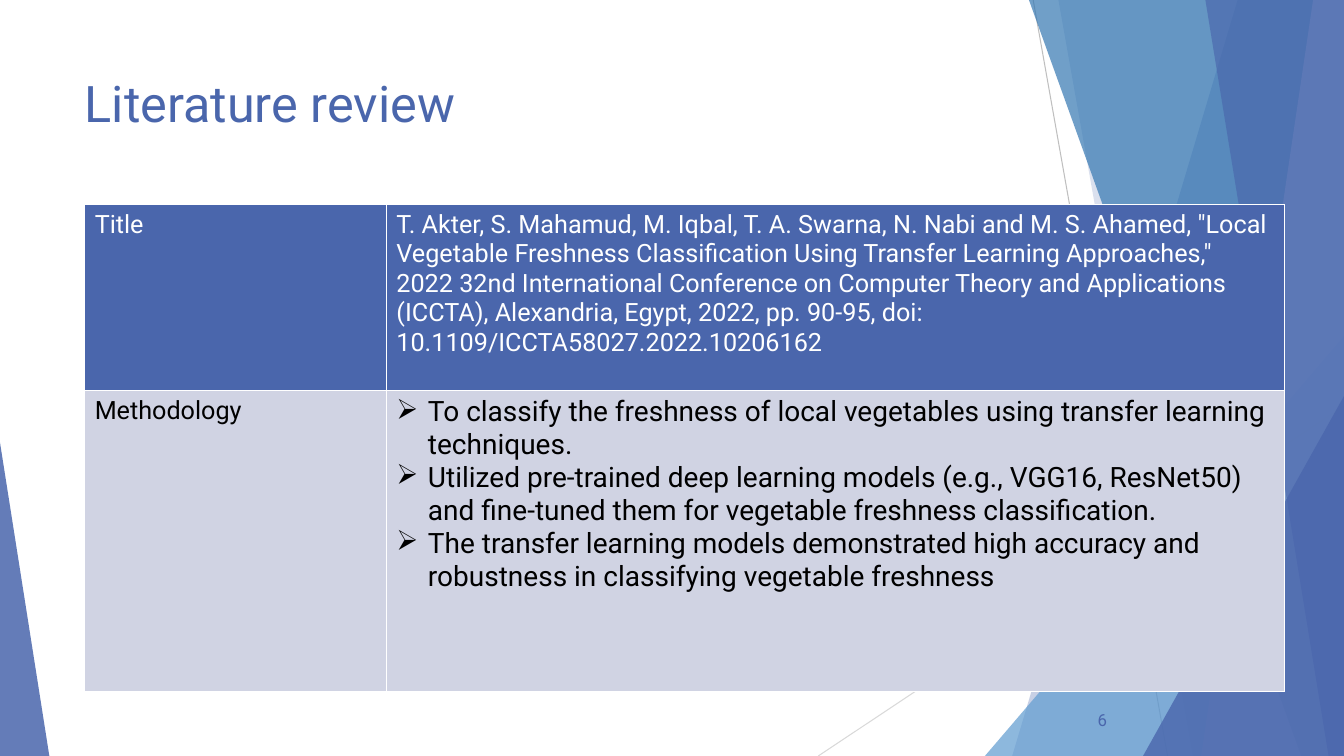
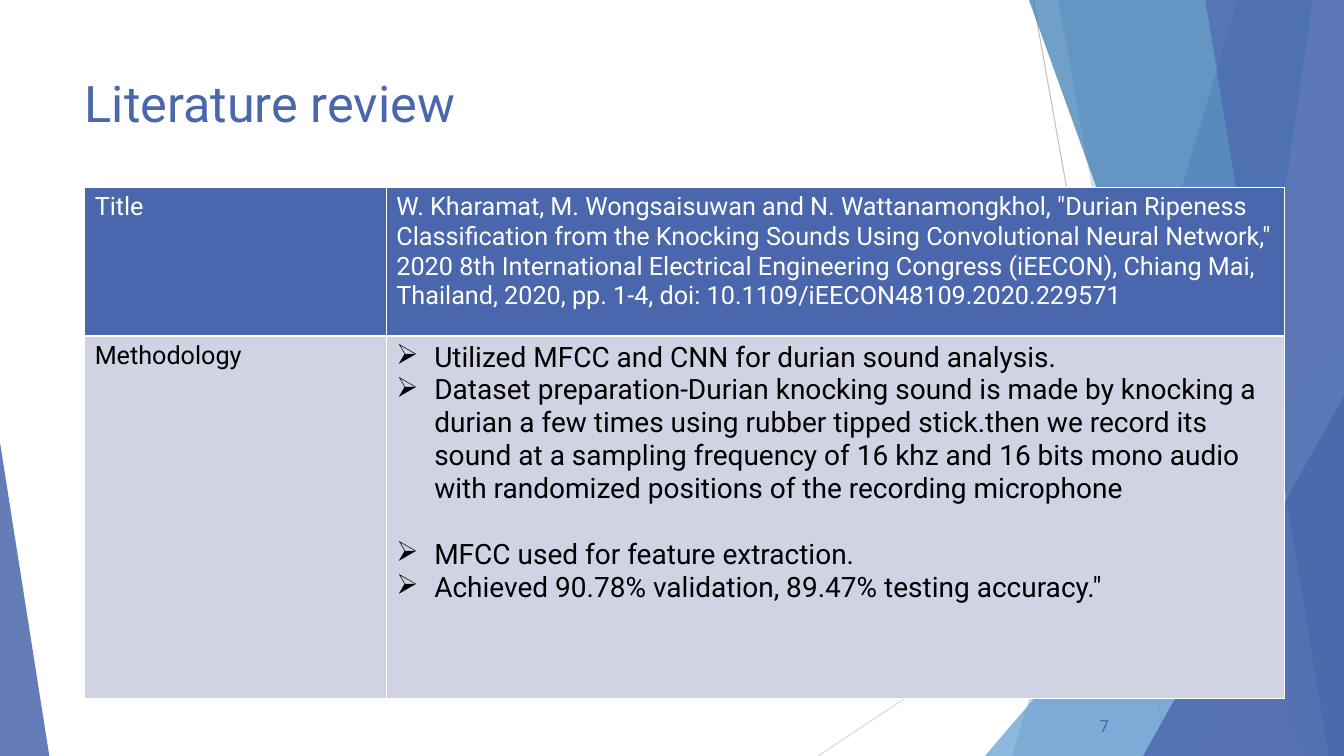
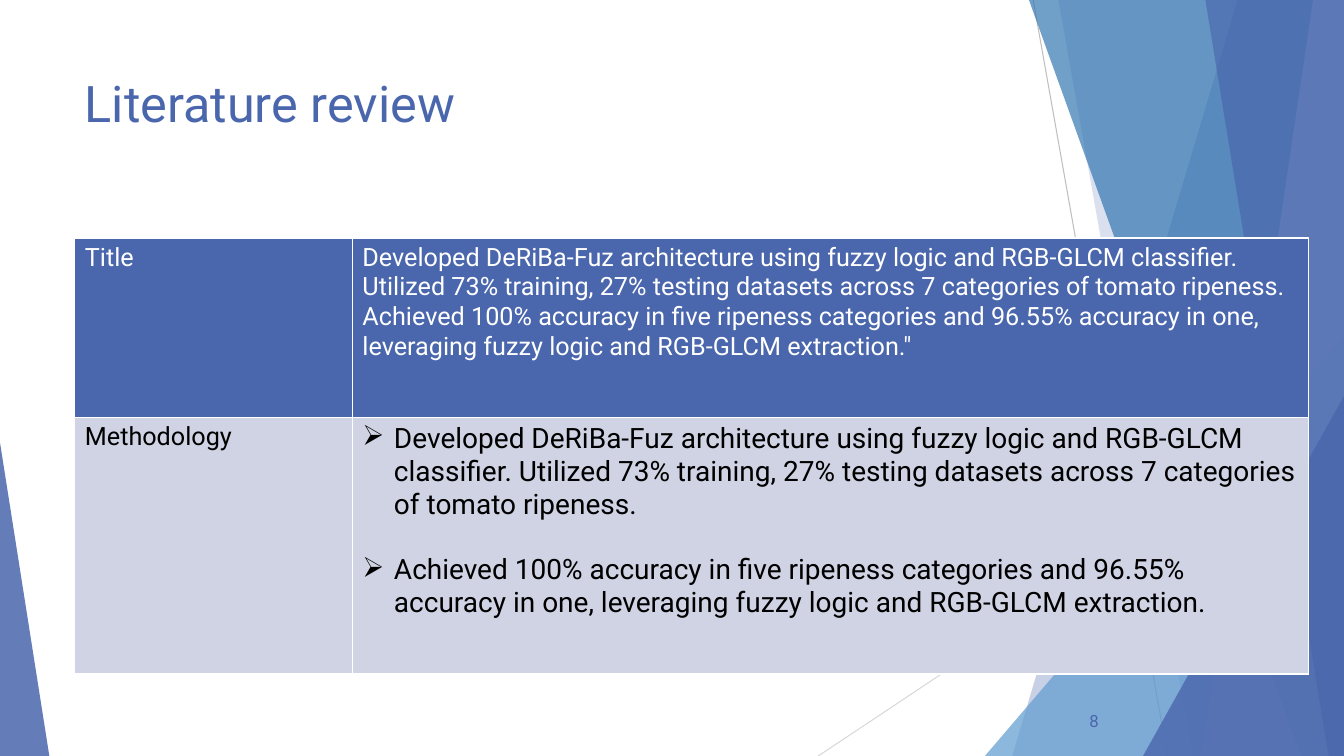
from pptx import Presentation
from pptx.dml.color import RGBColor
from pptx.enum import shapes as kinds, text as txt
from pptx.oxml import ns, xmlchemy as xml
from pptx.oxml import parse_xml
from pptx.util import Pt

WIDE, HIGH = 960, 540
BLUE = RGBColor(0x4A, 0x66, 0xAC)
SKY = RGBColor(0x62, 0x9D, 0xD1)
DEEP = RGBColor(0x34, 0x77, 0xB2)
PALE = RGBColor(0x90, 0xA2, 0xCF)
TINT = RGBColor(0xD0, 0xD3, 0xE3)
GREY = RGBColor(0xBF, 0xBF, 0xBF)
LIGHT = RGBColor(0xD9, 0xD9, 0xD9)
WHITE = RGBColor(255, 255, 255)
BLACK = RGBColor(0, 0, 0)

HEAD = {"size": Pt(36), "color": BLUE}
LABEL = {"size": Pt(18), "color": BLACK}
CITE = {"size": Pt(18), "color": WHITE}
POINT = {"size": Pt(20), "color": BLACK}
FOOT = {"size": Pt(12), "color": BLUE}
GAP = 23.5

# Each slide: number and its place, table place, column widths, row heights,
# title cell, bullet indent, bullets as (space before, text)
PAGES = [
    dict(num="6", spot=(743.75, 499.75), at=(60.5, 146.25),
         cols=(215.5, 641.5), rows=(133, 215), hang=22.5,
         cite='T. Akter, S. Mahamud, M. Iqbal, T. A. Swarna, N. Nabi and M. S. Ahamed, "Local Vegetable Freshness Classification Using Transfer Learning Approaches," 2022 32nd International Conference on Computer Theory and Applications (ICCTA), Alexandria, Egypt, 2022, pp. 90-95, doi: 10.1109/ICCTA58027.2022.10206162',
         points=[
             (0, "To classify the freshness of local vegetables using transfer learning techniques."),
             (0, "Utilized pre-trained deep learning models (e.g., VGG16, ResNet50) and fine-tuned them for vegetable freshness classification."),
             (0, "The transfer learning models demonstrated high accuracy and robustness in classifying vegetable freshness"),
         ]),
    dict(num="7", spot=(745.25, 504), at=(60.5, 134),
         cols=(215.5, 641.5), rows=(106, 259), hang=27,
         cite='W. Kharamat, M. Wongsaisuwan and N. Wattanamongkhol, "Durian Ripeness Classification from the Knocking Sounds Using Convolutional Neural Network," 2020 8th International Electrical Engineering Congress (iEECON), Chiang Mai, Thailand, 2020, pp. 1-4, doi: 10.1109/iEECON48109.2020.229571',
         points=[
             (0, "Utilized MFCC and CNN for durian sound analysis."),
             (0, "Dataset preparation-Durian knocking sound is made by knocking a durian a few times using rubber tipped stick.then we record its sound at a sampling frequency of 16 khz and 16 bits mono audio with randomized positions of the recording microphone"),
             (GAP, "MFCC used for feature extraction."),
             (0, 'Achieved 90.78% validation, 89.47% testing accuracy."'),
         ]),
    dict(num="8", spot=(738, 500.25), at=(53.5, 170),
         cols=(198.25, 682.75), rows=(128, 183.5), hang=22.5,
         cite='Developed DeRiBa-Fuz architecture using fuzzy logic and RGB-GLCM classifier. Utilized 73% training, 27% testing datasets across 7 categories of tomato ripeness. Achieved 100% accuracy in five ripeness categories and 96.55% accuracy in one, leveraging fuzzy logic and RGB-GLCM extraction."',
         points=[
             (0, "Developed DeRiBa-Fuz architecture using fuzzy logic and RGB-GLCM classifier. Utilized 73% training, 27% testing datasets across 7 categories of tomato ripeness."),
             (GAP, "Achieved 100% accuracy in five ripeness categories and 96.55% accuracy in one, leveraging fuzzy logic and RGB-GLCM extraction."),
         ]),
]


def place(shape, *box):
    for name, val in zip(("left", "top", "width", "height"), box):
        setattr(shape, name, Pt(val))


def write(para, words, style):
    run = para.add_run()
    run.text = words
    font = run.font
    for name, val in {"name": "Roboto", "bold": False, "size": style["size"]}.items():
        setattr(font, name, val)
    font.color.rgb = style["color"]


def glaze(shape, color, alpha):
    """Fill a shape with a see-through colour and drop its line and shadow."""
    shape.shadow.inherit = False
    shape.line.fill.background()
    shape.fill.solid()
    shape.fill.fore_color.rgb = color
    tone = shape.element.find(".//" + ns.qn("a:srgbClr"))
    tone.append(parse_xml(f'<a:alpha {ns.nsdecls("a")} val="{alpha * 1000}"/>'))


def ray(group, x1, y1, x2, y2, color):
    line = group.shapes.add_connector(
        kinds.MSO_CONNECTOR.STRAIGHT, Pt(x1), Pt(y1), Pt(x2), Pt(y2))
    line.line.color.rgb = color
    line.line.width = Pt(0.75)
    line.element.spPr.append(parse_xml(f'<a:effectLst {ns.nsdecls("a")}/>'))


def shard(group, top, foot, color, alpha):
    """Draw a band from a slanted left edge to the right edge of the slide."""
    path = group.shapes.build_freeform(Pt(top), 0)
    path.add_line_segments(
        [(Pt(WIDE), 0), (Pt(WIDE), Pt(HIGH)), (Pt(foot), Pt(HIGH))], close=True)
    glaze(path.convert_to_shape(), color, alpha)


def wedge(group, left, top, right, peak, color, alpha):
    """Draw a triangle on the slide's foot; peak 0 is left, 1 is right."""
    tri = group.shapes.add_shape(
        kinds.MSO_SHAPE.ISOSCELES_TRIANGLE,
        Pt(left), Pt(top), Pt(right - left), Pt(HIGH - top))
    tri.adjustments[0] = peak
    glaze(tri, color, alpha)


def backdrop(slide):
    """Draw the shared shards and move them to the slide's layout."""
    layout = slide.slide_layout
    for spare in list(layout.placeholders)[1:]:
        layout.shapes.element.remove(spare.element)
    group = slide.shapes.add_group_shape()
    ray(group, 738, 0, 834, HIGH, GREY)
    ray(group, WIDE, 290, 584.5, HIGH, LIGHT)
    shard(group, 884, 723, BLUE, 30)
    shard(group, 756, 852, BLUE, 20)
    wedge(group, 703.5, 240, WIDE, 1, SKY, 72)
    shard(group, 735, 929.5, DEEP, 70)
    shard(group, 938, 858, PALE, 70)
    shard(group, 861, 949, BLUE, 65)
    wedge(group, 816.5, 283, WIDE, 1, BLUE, 80)
    wedge(group, 0, 316, 35.25, 0, BLUE, 85)
    layout.shapes.element.insert(2, group.element)


def heading(slide, words):
    title = slide.shapes.title
    place(title, 53.25, 48.25, 676.75, 103.75)
    frame = title.text_frame
    frame.vertical_anchor = txt.MSO_ANCHOR.TOP
    frame.paragraphs[0].alignment = txt.PP_ALIGN.LEFT
    write(frame.paragraphs[0], words, HEAD)


def paint(cell, color):
    """Give a cell white borders and a plain fill."""
    props = cell._tc.get_or_add_tcPr()
    for side in ("lnL", "lnR", "lnT", "lnB"):
        props.append(parse_xml(
            f'<a:{side} {ns.nsdecls("a")} w="{Pt(1)}"><a:solidFill>'
            f'<a:srgbClr val="{WHITE}"/></a:solidFill></a:{side}>'))
    cell.fill.solid()
    cell.fill.fore_color.rgb = color


def bullet(para, hang):
    props = para._p.get_or_add_pPr()
    props.set("marL", str(Pt(hang)))
    props.set("indent", str(-Pt(hang)))
    props.append(parse_xml(f'<a:buChar {ns.nsdecls("a")} char="➢"/>'))


def review(slide, page):
    """Add the table with the paper's title and its method."""
    cols, rows = page["cols"], page["rows"]
    left, top = page["at"]
    grid = slide.shapes.add_table(
        2, 2, Pt(left), Pt(top), Pt(sum(cols)), Pt(sum(rows))).table
    grid.first_row = grid.horz_banding = False
    for i in range(2):
        grid.columns[i].width = Pt(cols[i])
        grid.rows[i].height = Pt(rows[i])
        for j in range(2):
            paint(grid.cell(i, j), TINT if i else BLUE)
    for i, j, words, style in ((0, 0, "Title", CITE), (0, 1, page["cite"], CITE),
                               (1, 0, "Methodology", LABEL)):
        write(grid.cell(i, j).text_frame.paragraphs[0], words, style)
    frame = grid.cell(1, 1).text_frame
    for i, (gap, words) in enumerate(page["points"]):
        para = frame.add_paragraph() if i else frame.paragraphs[0]
        bullet(para, page["hang"])
        if gap:
            para.space_before = Pt(gap)
        write(para, words, POINT)


def number(slide, spot, words):
    box = slide.shapes.add_textbox(Pt(spot[0]), Pt(spot[1]), Pt(54), Pt(28.75))
    frame = box.text_frame
    frame.word_wrap = True
    frame.vertical_anchor = txt.MSO_ANCHOR.MIDDLE
    frame.paragraphs[0].alignment = txt.PP_ALIGN.RIGHT
    write(frame.paragraphs[0], words, FOOT)


def main():
    deck = Presentation()
    deck.slide_width, deck.slide_height = Pt(WIDE), Pt(HIGH)
    for i, page in enumerate(PAGES):
        slide = deck.slides.add_slide(deck.slide_layouts[5])
        if i == 0:
            backdrop(slide)
        heading(slide, "Literature review")
        review(slide, page)
        number(slide, page["spot"], page["num"])
    deck.save("out.pptx")


if __name__ == "__main__":
    main()
